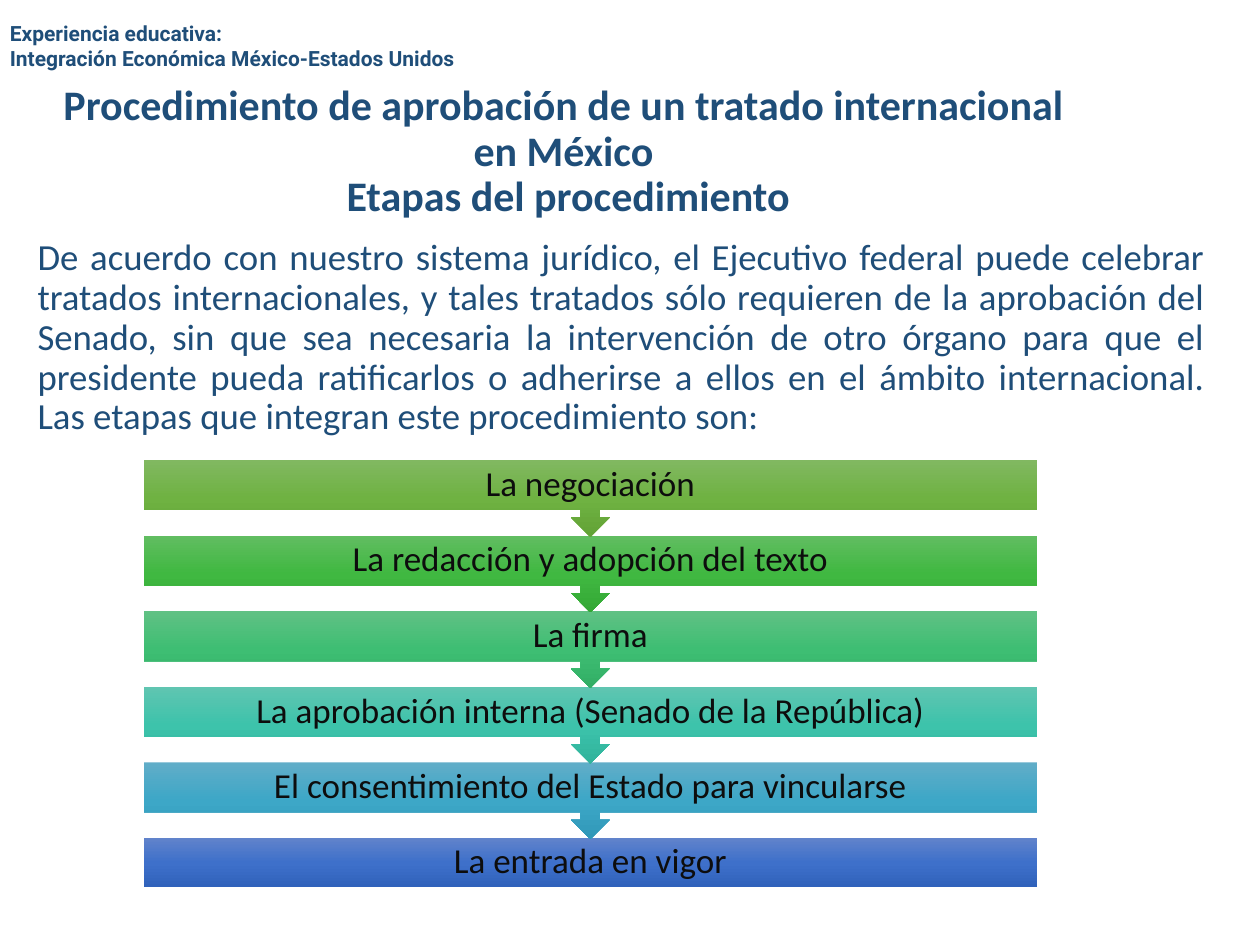
from copy import deepcopy
from dataclasses import dataclass

from pptx import Presentation
from pptx.dml.color import RGBColor
from pptx.enum.shapes import MSO_SHAPE
from pptx.enum.text import MSO_ANCHOR, PP_ALIGN
from pptx.util import Inches, Pt

RECTANGLE = MSO_SHAPE.RECTANGLE
ARROW_CALLOUT = MSO_SHAPE.DOWN_ARROW_CALLOUT
TOP, MIDDLE = MSO_ANCHOR.TOP, MSO_ANCHOR.MIDDLE
LEFT, CENTER, JUSTIFY = PP_ALIGN.LEFT, PP_ALIGN.CENTER, PP_ALIGN.JUSTIFY

NAVY = "1F4E79"
NEAR_BLACK = "0D0D0D"

STAGE_LEFT, STAGE_WIDTH = 1.14, 7.09
FIRST_STAGE_TOP, STAGE_PITCH = 3.65, 0.6
BAR_HEIGHT, CALLOUT_HEIGHT = 0.39, 0.61
CALLOUT_ADJUSTMENTS = (0.25, 0.25, 0.25, 0.65)


@dataclass
class TextStyle:
    size: float
    color: str = NAVY
    font: str = "Calibri"
    bold: bool = False
    alignment: PP_ALIGN = LEFT
    line_spacing: float = 0.9


@dataclass
class TextBlock:
    left: float
    top: float
    width: float
    height: float
    anchor: MSO_ANCHOR
    style: TextStyle
    paragraphs: list[list[str]]  # each paragraph is a list of lines


@dataclass
class Stage:
    label: str
    colors: tuple[str, str, str]


HEADER_STYLE = TextStyle(12, font="Roboto", bold=True, line_spacing=1.0)
TITLE_STYLE = TextStyle(24, bold=True, alignment=CENTER)
BODY_STYLE = TextStyle(21, alignment=JUSTIFY)
STAGE_STYLE = TextStyle(20, color=NEAR_BLACK, alignment=CENTER)

TEXT_BLOCKS = [
    TextBlock(0.2, 0.68, 8.62, 1.06, MIDDLE, TITLE_STYLE, [[
        "Procedimiento de aprobación de un tratado internacional ",
        "en México ",
        "Etapas del procedimiento",
    ]]),
    TextBlock(0.2, 1.85, 9.46, 1.73, TOP, BODY_STYLE, [[
        "De acuerdo con nuestro sistema jurídico, el Ejecutivo federal puede "
        "celebrar tratados internacionales, y tales tratados sólo requieren de "
        "la aprobación del Senado, sin que sea necesaria la intervención de otro "
        "órgano para que el presidente pueda ratificarlos o adherirse a ellos en "
        "el ámbito internacional. Las etapas que integran este procedimiento son:",
    ]]),
    TextBlock(-0.02, 0.11, 4.02, 0.5, MIDDLE, HEADER_STYLE, [
        ["Experiencia educativa:"],
        ["Integración Económica México-Estados Unidos"],
    ]),
]

STAGES = [
    Stage("La negociación", ("81B861", "6FB242", "62A336")),
    Stage("La redacción y adopción del texto", ("61BD61", "40B841", "34A835")),
    Stage("La firma", ("60C184", "3EBE73", "32AE65")),
    Stage("La aprobación interna (Senado de la República)",
          ("60C5B1", "3DC3AB", "30B39C")),
    Stage("El consentimiento del Estado para vincularse",
          ("61ADC8", "3DA7C7", "3098B8")),
    Stage("La entrada en vigor", ("6183CB", "3E70CA", "3062BB")),
]


def rgb(value: str) -> RGBColor:
    return RGBColor.from_string(value)


def write_paragraph(paragraph, lines: list[str], style: TextStyle) -> None:
    paragraph.alignment = style.alignment
    paragraph.line_spacing = style.line_spacing
    for index, line in enumerate(lines):
        if index:
            paragraph.add_line_break()
        run = paragraph.add_run()
        run.text = line
        run.font.name = style.font
        run.font.size = Pt(style.size)
        run.font.bold = style.bold
        run.font.color.rgb = rgb(style.color)


def add_text_block(slide, block: TextBlock) -> None:
    box = slide.shapes.add_textbox(Inches(block.left), Inches(block.top),
                                   Inches(block.width), Inches(block.height))
    frame = box.text_frame
    frame.word_wrap = True
    frame.vertical_anchor = block.anchor
    for index, lines in enumerate(block.paragraphs):
        paragraph = frame.add_paragraph() if index else frame.paragraphs[0]
        write_paragraph(paragraph, lines, block.style)


def fill_gradient(shape, colors: tuple[str, str, str]) -> None:
    """Fill from top to bottom with three evenly spaced colours."""
    shape.fill.gradient()
    shape.fill.gradient_angle = 270
    # A new gradient has two stops; the middle one is added in XML
    stop_list = shape.fill._fill._gradFill.gsLst
    stop_list.insert(1, deepcopy(stop_list[0]))
    for index, (stop, color) in enumerate(zip(shape.fill.gradient_stops, colors)):
        stop.position = index / 2
        stop.color.rgb = rgb(color)


def add_stage(slide, stage: Stage, top: float, is_last: bool) -> None:
    shape = slide.shapes.add_shape(
        RECTANGLE if is_last else ARROW_CALLOUT,
        Inches(STAGE_LEFT), Inches(top), Inches(STAGE_WIDTH),
        Inches(BAR_HEIGHT if is_last else CALLOUT_HEIGHT))
    if not is_last:
        for index, value in enumerate(CALLOUT_ADJUSTMENTS):
            shape.adjustments[index] = value
    shape.shadow.inherit = False
    shape.line.fill.background()
    fill_gradient(shape, stage.colors)

    frame = shape.text_frame
    frame.word_wrap = True
    frame.vertical_anchor = MIDDLE
    frame.margin_left = frame.margin_right = Inches(0.16)
    frame.margin_top = frame.margin_bottom = Inches(0)
    write_paragraph(frame.paragraphs[0], [stage.label], STAGE_STYLE)


def main() -> None:
    presentation = Presentation()
    presentation.slide_width = Inches(10)
    presentation.slide_height = Inches(7.5)
    slide = presentation.slides.add_slide(presentation.slide_layouts[6])

    # Title, introduction and course header
    for block in TEXT_BLOCKS:
        add_text_block(slide, block)

    # Stages, from the last one up so each arrow lies over the next bar
    for index, stage in reversed(list(enumerate(STAGES))):
        top = FIRST_STAGE_TOP + index * STAGE_PITCH
        add_stage(slide, stage, top, index == len(STAGES) - 1)

    presentation.save("out.pptx")


if __name__ == "__main__":
    main()
